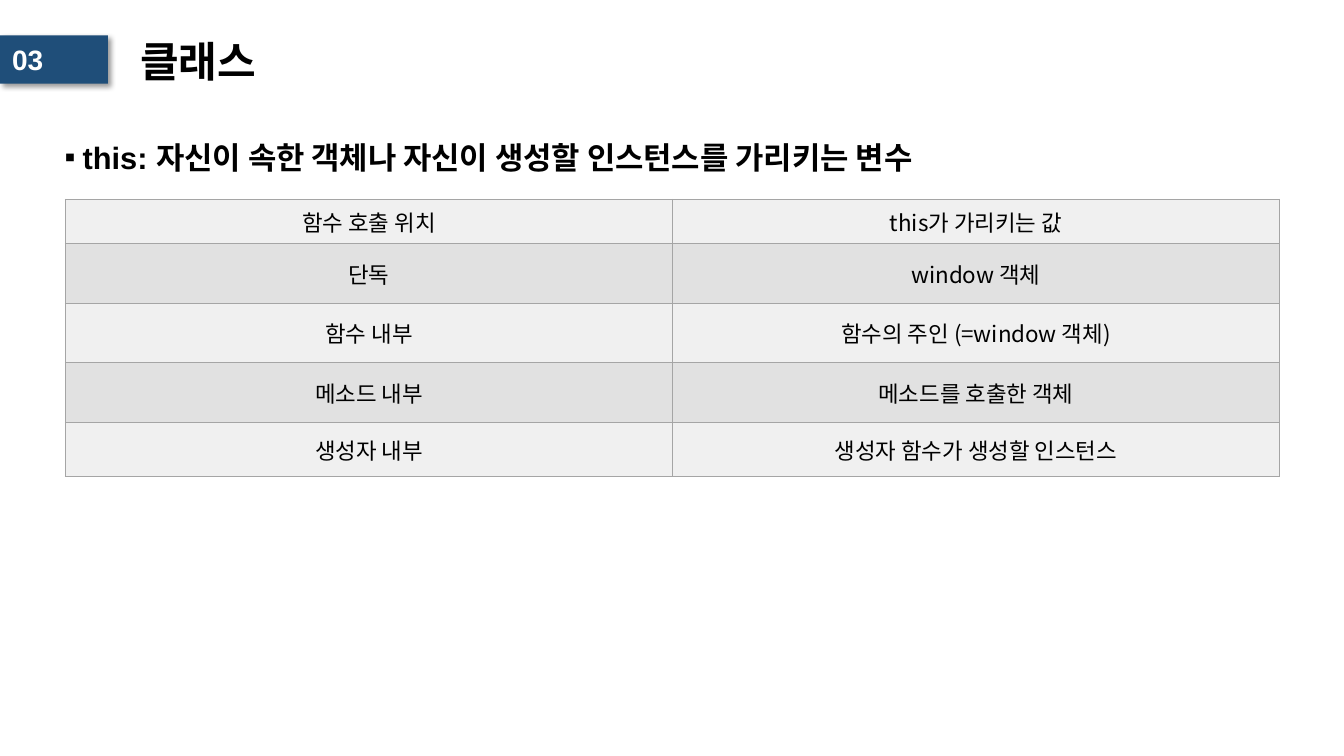
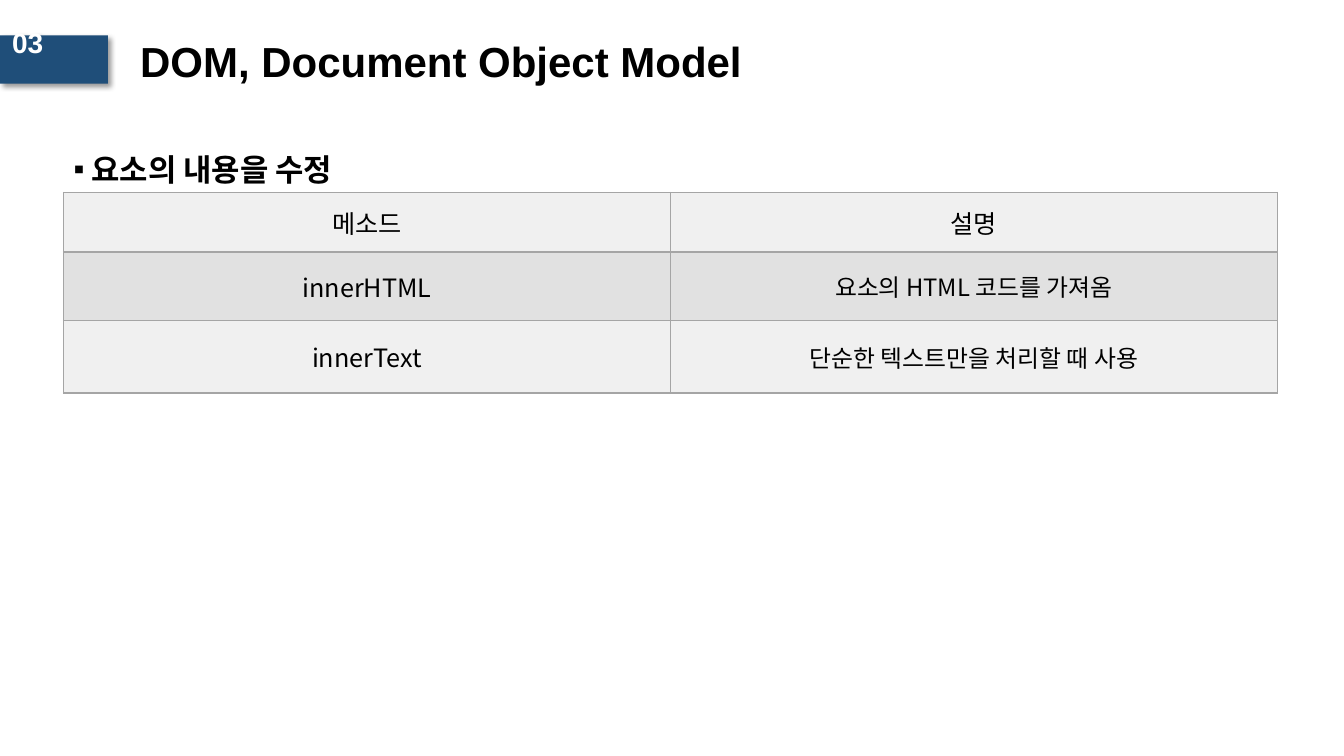
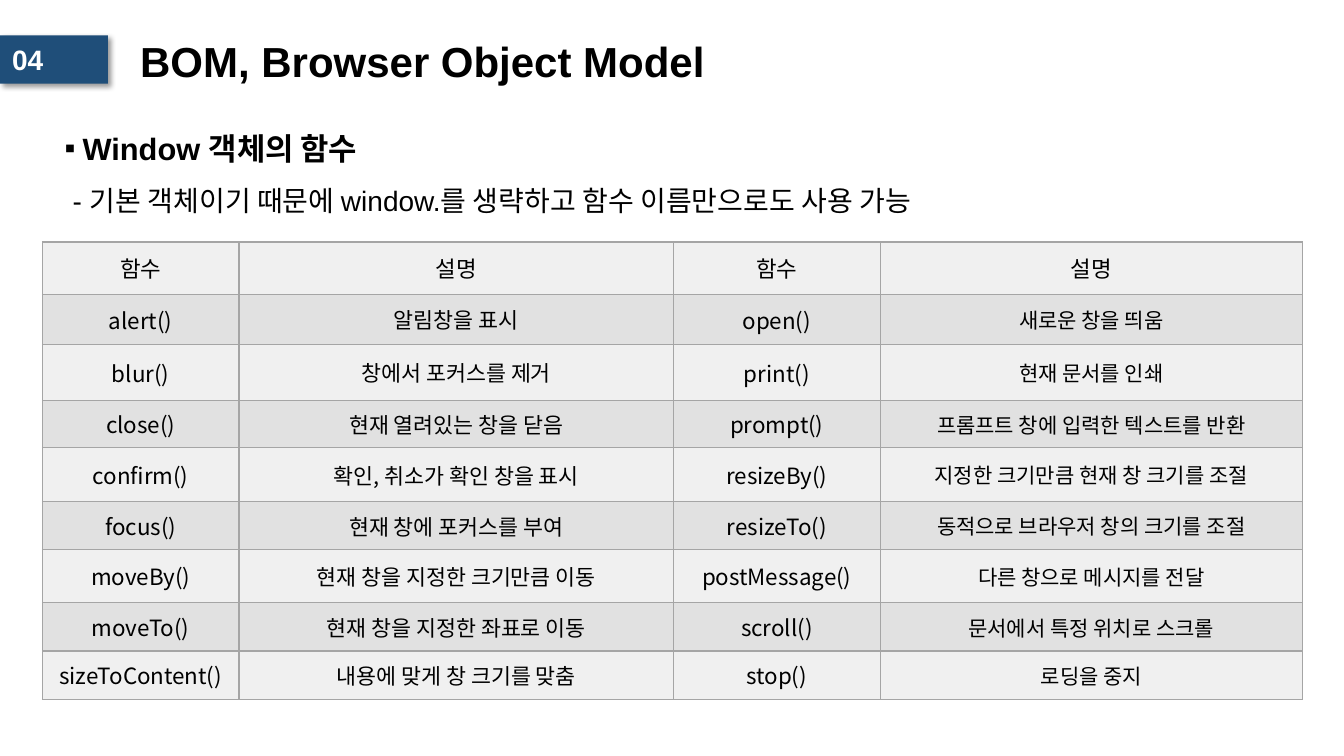
from lxml.etree import SubElement
from pptx import Presentation
from pptx.dml.color import RGBColor
from pptx.enum.shapes import MSO_SHAPE
from pptx.enum.text import MSO_ANCHOR, MSO_AUTO_SIZE, PP_ALIGN
from pptx.oxml import parse_xml
from pptx.oxml.ns import nsdecls, qn
from pptx.util import Inches, Pt


def color(hex_text):
    """Turn a hex string into a colour."""
    return RGBColor.from_string(hex_text)


class LectureDeck:
    """Holds the lecture style and the current slide."""

    LATIN = "Arial"
    KOREAN = "Noto Sans CJK KR"
    INK = "000000"
    PAPER = "FFFFFF"
    NAVY = "1F4E79"
    GRID = "A5A5A5"
    BANDS = ("F0F0F0", "E1E1E1")

    def __init__(self):
        """Start an empty widescreen deck."""
        self.deck = Presentation()
        self.deck.slide_width = Inches(13.33)
        self.deck.slide_height = Inches(7.5)
        self.page = None

    def add_text(self, para, text, size, font=LATIN, bold=False, ink=INK):
        """Add one styled run to a paragraph."""
        span = para.add_run()
        span.text = text
        span.font.size = Pt(size)
        span.font.bold = bold
        span.font.color.rgb = color(ink)
        span.font.name = font
        properties = span.font._element
        SubElement(properties, qn("a:ea")).set("typeface", self.KOREAN)

    def place(self, box, left, top, width, height):
        """Move and size a placeholder."""
        box.left, box.top = Inches(left), Inches(top)
        box.width, box.height = Inches(width), Inches(height)

    def start(self, number, title, title_width=9.02, number_lift=0):
        """Add a page with its title and number tag."""
        self.page = self.deck.slides.add_slide(self.deck.slide_layouts[1])
        box = self.page.shapes.title
        self.place(box, 1.29, 0.29, title_width, 0.69)
        frame = box.text_frame
        frame.auto_size = MSO_AUTO_SIZE.NONE
        frame.vertical_anchor = MSO_ANCHOR.MIDDLE
        para = frame.paragraphs[0]
        para.alignment = PP_ALIGN.LEFT
        para.line_spacing = 0.9
        self.add_text(para, title, 30, bold=True)
        self.tag(number, number_lift)

    def tag(self, number, lift):
        """Draw the shadowed number tag, its text raised by lift."""
        box = self.page.shapes.add_shape(
            MSO_SHAPE.RECTANGLE, 0, Inches(0.35), Inches(1.07), Inches(0.48))
        box.fill.solid()
        box.fill.fore_color.rgb = color(self.NAVY)
        box.line.fill.background()
        box.shadow.inherit = False
        effects = box._element.spPr.find(qn("a:effectLst"))
        effects.append(parse_xml(
            f'<a:outerShdw {nsdecls("a")} blurRad="{Pt(4)}" dist="{Pt(3)}" '
            f'dir="2700000" algn="tl" rotWithShape="0"><a:srgbClr val="{self.INK}">'
            '<a:alpha val="40000"/></a:srgbClr></a:outerShdw>'))
        frame = box.text_frame
        frame.vertical_anchor = MSO_ANCHOR.MIDDLE
        frame.margin_left = Inches(0.12)
        frame.margin_bottom = Inches(0.05 + 2 * lift)
        para = frame.paragraphs[0]
        para.alignment = PP_ALIGN.LEFT
        self.add_text(para, number, 20, bold=True, ink=self.PAPER)

    def points(self, at, heading, detail=None):
        """Fill the body with a bulleted heading and an optional detail line."""
        box = self.page.placeholders[1]
        self.place(box, *at)
        frame = box.text_frame
        frame.auto_size = MSO_AUTO_SIZE.SHAPE_TO_FIT_TEXT
        self.point(frame.paragraphs[0], heading, 22, 0.18, "▪")
        if detail:
            self.point(frame.add_paragraph(), detail, 20, 0.08)

    def point(self, para, text, size, indent, bullet=None):
        """Set one body line, bold and hanging when it has a bullet."""
        para.line_spacing = 1.5
        para.space_before = Pt(0)
        properties = para._element.get_or_add_pPr()
        properties.set("marL", str(Inches(indent)))
        properties.set("indent", str(-Inches(indent) if bullet else 0))
        if bullet:
            SubElement(properties, qn("a:buFont")).set("typeface", self.LATIN)
            SubElement(properties, qn("a:buChar")).set("char", bullet)
        else:
            SubElement(properties, qn("a:buNone"))
        self.add_text(para, text, size, bold=bool(bullet))

    def table(self, left, top, widths, heights, rows, header_size, sizes):
        """Add a banded grid with one text size per column."""
        grid = self.page.shapes.add_table(
            len(rows), len(widths), Inches(left), Inches(top),
            Inches(sum(widths)), Inches(sum(heights))).table
        grid.first_row = grid.horz_banding = False
        for column, width in zip(grid.columns, widths):
            column.width = Inches(width)
        for index, (height, texts) in enumerate(zip(heights, rows)):
            grid.rows[index].height = Inches(height)
            for place, text in enumerate(texts):
                size = sizes[place] if index else header_size
                self.cell(grid.cell(index, place), text, size, self.BANDS[index % 2])

    def cell(self, cell, text, size, band):
        """Fill and border one cell and centre its text."""
        cell.fill.solid()
        cell.fill.fore_color.rgb = color(band)
        cell.vertical_anchor = MSO_ANCHOR.MIDDLE
        properties = cell._tc.get_or_add_tcPr()
        for order, side in enumerate(("lnL", "lnR", "lnT", "lnB")):
            properties.insert(order, parse_xml(
                f'<a:{side} {nsdecls("a")} w="{Pt(1)}"><a:solidFill>'
                f'<a:srgbClr val="{self.GRID}"/></a:solidFill></a:{side}>'))
        para = cell.text_frame.paragraphs[0]
        para.alignment = PP_ALIGN.CENTER
        self.add_text(para, text, size, font=self.KOREAN)


def main():
    """Build the three pages."""
    lecture = LectureDeck()

    lecture.start("03", "클래스")
    lecture.points((0.54, 1.14, 10.34, 0.61),
                   "this: 자신이 속한 객체나 자신이 생성할 인스턴스를 가리키는 변수")
    lecture.table(0.65, 1.98, (6.02, 6.02), (0.44, 0.59, 0.59, 0.59, 0.54), (
        ("함수 호출 위치", "this가 가리키는 값"),
        ("단독", "window 객체"),
        ("함수 내부", "함수의 주인 (=window 객체)"),
        ("메소드 내부", "메소드를 호출한 객체"),
        ("생성자 내부", "생성자 함수가 생성할 인스턴스"),
    ), 16, (16, 16))

    lecture.start("03", "DOM, Document Object Model", 6.58, number_lift=0.17)
    lecture.points((0.63, 1.26, 10.46, 0.61), "요소의 내용을 수정")
    lecture.table(0.63, 1.91, (6.02, 6.02), (0.59, 0.68, 0.72), (
        ("메소드", "설명"),
        ("innerHTML", "요소의 HTML 코드를 가져옴"),
        ("innerText", "단순한 텍스트만을 처리할 때 사용"),
    ), 18, (18, 17))

    lecture.start("04", "BOM, Browser Object Model")
    lecture.points((0.54, 1.05, 12.14, 1.12), "Window 객체의 함수",
                   "- 기본 객체이기 때문에 window.를 생략하고 함수 이름만으로도 사용 가능")
    heights = (0.52, 0.5, 0.55, 0.47, 0.54, 0.47, 0.53, 0.48, 0.48)
    lecture.table(0.42, 2.4, (1.95, 4.31, 2.05, 4.19), heights, (
        ("함수", "설명", "함수", "설명"),
        ("alert()", "알림창을 표시", "open()", "새로운 창을 띄움"),
        ("blur()", "창에서 포커스를 제거", "print()", "현재 문서를 인쇄"),
        ("close()", "현재 열려있는 창을 닫음", "prompt()", "프롬프트 창에 입력한 텍스트를 반환"),
        ("confirm()", "확인, 취소가 확인 창을 표시", "resizeBy()", "지정한 크기만큼 현재 창 크기를 조절"),
        ("focus()", "현재 창에 포커스를 부여", "resizeTo()", "동적으로 브라우저 창의 크기를 조절"),
        ("moveBy()", "현재 창을 지정한 크기만큼 이동", "postMessage()", "다른 창으로 메시지를 전달"),
        ("moveTo()", "현재 창을 지정한 좌표로 이동", "scroll()", "문서에서 특정 위치로 스크롤"),
        ("sizeToContent()", "내용에 맞게 창 크기를 맞춤", "stop()", "로딩을 중지"),
    ), 16, (16, 15.5, 16, 15))

    lecture.deck.save("out.pptx")


if __name__ == "__main__":
    main()
